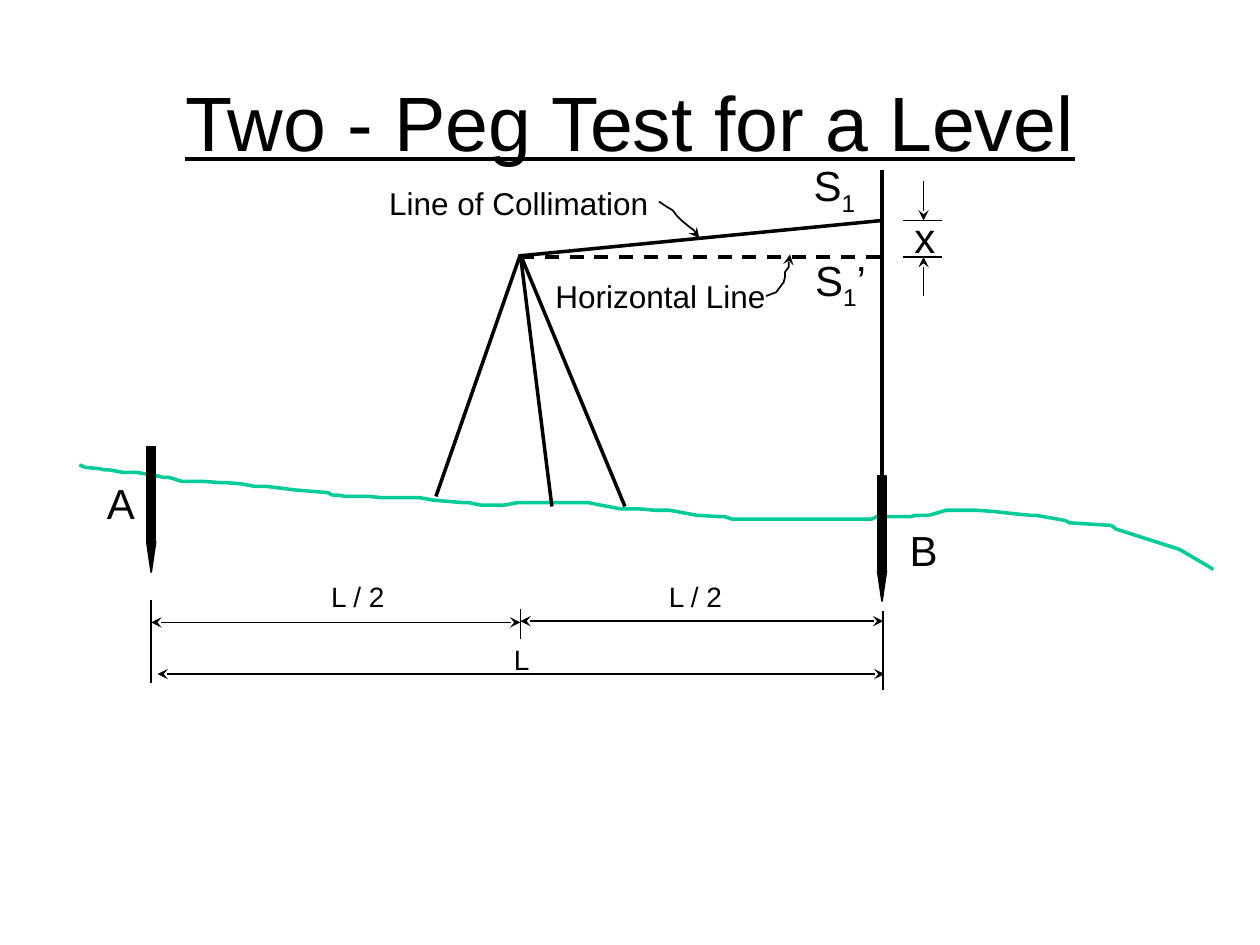
from dataclasses import dataclass

from lxml.etree import SubElement
from pptx import Presentation
from pptx.dml.color import RGBColor
from pptx.enum.dml import MSO_LINE
from pptx.enum.shapes import MSO_CONNECTOR, MSO_SHAPE
from pptx.enum.text import MSO_ANCHOR, MSO_AUTO_SIZE, PP_ALIGN
from pptx.oxml.ns import qn
from pptx.util import Inches, Pt


@dataclass(frozen=True)
class Theme:
    font: str = "Arial"
    ink: RGBColor = RGBColor(0x00, 0x00, 0x00)
    ground: RGBColor = RGBColor(0x00, 0xCC, 0x99)
    title: int = 44
    point: int = 24
    note: int = 18
    dimension: int = 16
    thick: int = 2
    thin: int = 1


T = Theme()
TITLE = "Two - Peg Test for a Level"

# Key positions of the survey, in inches
PEG_A, LEVEL, PEG_B = 1.2, 4.13, 7.0
SIGHT_Y, HORIZON_Y, COLLIMATION_Y = 2.02, 2.04, 1.75
PEG_W, PEG_H, TIP_H = 0.07, 0.74, 0.24
PEGS = [(PEG_A, 3.55), (PEG_B, 3.78)]  # centre, top
STAFF_TOP = 1.35
OFFSET_X = 7.33

GROUND = [
    (0.63, 3.69), (0.68, 3.71), (0.79, 3.72), (0.83, 3.73), (0.87, 3.73),
    (0.98, 3.75), (1.09, 3.75), (1.26, 3.78), (1.3, 3.79), (1.34, 3.79),
    (1.38, 3.8), (1.44, 3.82), (1.6, 3.82), (1.74, 3.83), (1.78, 3.83),
    (1.91, 3.84), (2.02, 3.86), (2.11, 3.86), (2.35, 3.89), (2.6, 3.91),
    (2.64, 3.93), (2.68, 3.93), (2.74, 3.94), (2.92, 3.94), (3.03, 3.95),
    (3.33, 3.95), (3.44, 3.97), (3.68, 3.99), (3.72, 3.99), (3.82, 4.01),
    (4, 4.01), (4.11, 3.99), (4.67, 3.99), (4.77, 4.01), (4.93, 4.04),
    (5.08, 4.04), (5.2, 4.05), (5.31, 4.05), (5.37, 4.06), (5.53, 4.09),
    (5.7, 4.1), (5.75, 4.1), (5.81, 4.12), (6.92, 4.12), (6.96, 4.1),
    (7.23, 4.1), (7.27, 4.09), (7.37, 4.09), (7.41, 4.08), (7.51, 4.05),
    (7.75, 4.05), (7.89, 4.06), (8.07, 4.08), (8.18, 4.09), (8.22, 4.09),
    (8.45, 4.13), (8.49, 4.15), (8.82, 4.17), (8.86, 4.2), (9.36, 4.36),
    (9.6, 4.5), (9.63, 4.52),
]
COLLIMATION_POINTER = [
    (5.23, 1.6), (5.29, 1.64), (5.34, 1.67), (5.37, 1.71), (5.41, 1.75),
    (5.47, 1.8), (5.51, 1.83), (5.53, 1.87), (5.58, 1.87), (5.55, 1.89),
]
HORIZONTAL_POINTER = [
    (6.08, 2.35), (6.16, 2.32), (6.19, 2.28), (6.22, 2.24), (6.23, 2.2),
    (6.23, 2.16), (6.26, 2.12), (6.26, 2.08), (6.27, 2.04), (6.27, 2.01),
    (6.27, 2.02),
]

TRIPOD_FEET = [(3.46, 3.94), (4.96, 4.02), (4.38, 4.02)]
# Start, end, arrow at start, arrow at end
THIN_LINES = [
    ((LEVEL, 4.83), (LEVEL, 5.07), False, False),
    ((PEG_A, 4.94), (LEVEL, 4.94), True, True),
    ((LEVEL, 4.93), (7.01, 4.93), True, True),
    ((PEG_A, 4.76), (PEG_A, 5.42), False, False),
    ((7.01, 4.85), (7.01, 5.48), False, False),
    ((1.25, 5.35), (7.02, 5.35), True, True),
    ((7.17, COLLIMATION_Y), (7.48, COLLIMATION_Y), False, False),
    ((7.17, HORIZON_Y), (7.48, HORIZON_Y), False, False),
    ((OFFSET_X, COLLIMATION_Y), (OFFSET_X, 1.44), True, False),
    ((OFFSET_X, 2.35), (OFFSET_X, HORIZON_Y), False, True),
]
# Left, top, width, height, size, runs; every second run is a subscript
LABELS = [
    (2.53, 4.55, 0.63, 0.37, T.dimension, ["L / 2"]),
    (5.21, 4.55, 0.63, 0.37, T.dimension, ["L / 2"]),
    (3.98, 5.05, 0.41, 0.37, T.dimension, ["L"]),
    (7.16, 1.63, 0.37, 0.5, T.point, ["x"]),
    (6.36, 1.22, 0.53, 0.56, T.point, ["S", "1"]),
    (6.37, 1.97, 0.61, 0.56, T.point, ["S", "1", "’"]),
    (2.99, 1.41, 2.26, 0.4, T.note, ["Line of Collimation"]),
    (4.31, 2.15, 1.87, 0.4, T.note, ["Horizontal Line"]),
    (0.75, 3.74, 0.42, 0.5, T.point, ["A"]),
    (7.12, 4.11, 0.42, 0.5, T.point, ["B"]),
]


def style_line(line, width, color=T.ink, head=False, tail=False, dash=None):
    line.color.rgb = color
    line.width = Pt(width)
    if dash:
        line.dash_style = dash
    for tag, wanted in (("a:headEnd", head), ("a:tailEnd", tail)):
        if wanted:
            SubElement(line._get_or_add_ln(), qn(tag), type="stealth")


def add_line(shapes, start, end, width, **style):
    s = shapes.add_connector(MSO_CONNECTOR.STRAIGHT,
                             *(Inches(v) for v in (*start, *end)))
    style_line(s.line, width, **style)
    SubElement(s._element.spPr, qn("a:effectLst"))
    return s


def add_curve(shapes, points, width, **style):
    start, *rest = [(Inches(x), Inches(y)) for x, y in points]
    builder = shapes.build_freeform(*start)
    builder.add_line_segments(rest, close=False)
    s = builder.convert_to_shape()
    s.shadow.inherit = False
    s.fill.background()
    style_line(s.line, width, **style)


def add_solid(shapes, kind, center, top, height):
    s = shapes.add_shape(kind, Inches(center - PEG_W / 2), Inches(top),
                         Inches(PEG_W), Inches(height))
    s.shadow.inherit = False
    s.fill.solid()
    s.fill.fore_color.rgb = T.ink
    style_line(s.line, T.thin)
    return s


def add_peg(shapes, center, top):
    body = add_solid(shapes, MSO_SHAPE.RECTANGLE, center, top, PEG_H)
    tip = add_solid(shapes, MSO_SHAPE.ISOSCELES_TRIANGLE, center,
                    top + PEG_H + 0.01, TIP_H)
    tip.rotation = 180
    return body


def set_font(p, size):
    p.font.name = T.font
    p.font.size = Pt(size)
    p.font.color.rgb = T.ink


def add_label(shapes, left, top, width, height, size, runs):
    s = shapes.add_textbox(*(Inches(v) for v in (left, top, width, height)))
    tf = s.text_frame
    tf.word_wrap = False
    tf.auto_size = MSO_AUTO_SIZE.SHAPE_TO_FIT_TEXT
    p = tf.paragraphs[0]
    set_font(p, size)
    for i, text in enumerate(runs):
        r = p.add_run()
        r.text = text
        if i % 2:
            r.font._element.set("baseline", "-25000")


def add_title(slide):
    s = slide.shapes.title
    s.left, s.top, s.width, s.height = (Inches(v) for v in (0.75, 0.67, 8.5, 1.25))
    tf = s.text_frame
    tf.text = TITLE
    tf.auto_size = MSO_AUTO_SIZE.NONE
    tf.vertical_anchor = MSO_ANCHOR.MIDDLE
    tf.margin_bottom = Inches(0.73)
    p = tf.paragraphs[0]
    p.alignment = PP_ALIGN.CENTER
    set_font(p, T.title)
    p.font.underline = True


def main():
    prs = Presentation()
    prs.slide_width, prs.slide_height = Inches(10), Inches(7.5)
    slide = prs.slides.add_slide(prs.slide_layouts[5])
    shapes = slide.shapes
    add_title(slide)
    add_curve(shapes, GROUND, T.thick, color=T.ground)
    for foot in TRIPOD_FEET:
        add_line(shapes, (LEVEL, SIGHT_Y), foot, T.thick)
    for start, end, head, tail in THIN_LINES:
        add_line(shapes, start, end, T.thin, head=head, tail=tail)
    add_line(shapes, (LEVEL, 2.03), (PEG_B, COLLIMATION_Y), T.thick)
    add_line(shapes, (LEVEL, HORIZON_Y), (PEG_B, HORIZON_Y), T.thick,
             dash=MSO_LINE.DASH)
    for pointer in (COLLIMATION_POINTER, HORIZONTAL_POINTER):
        add_curve(shapes, pointer, T.thin, tail=True)
    peg_a, peg_b = [add_peg(shapes, *peg) for peg in PEGS]
    staff = add_line(shapes, (PEG_B, PEGS[1][1]), (PEG_B, STAFF_TOP), T.thick)
    staff.begin_connect(peg_b, 0)
    for label in LABELS:
        add_label(shapes, *label)
    prs.save("out.pptx")


if __name__ == "__main__":
    main()
